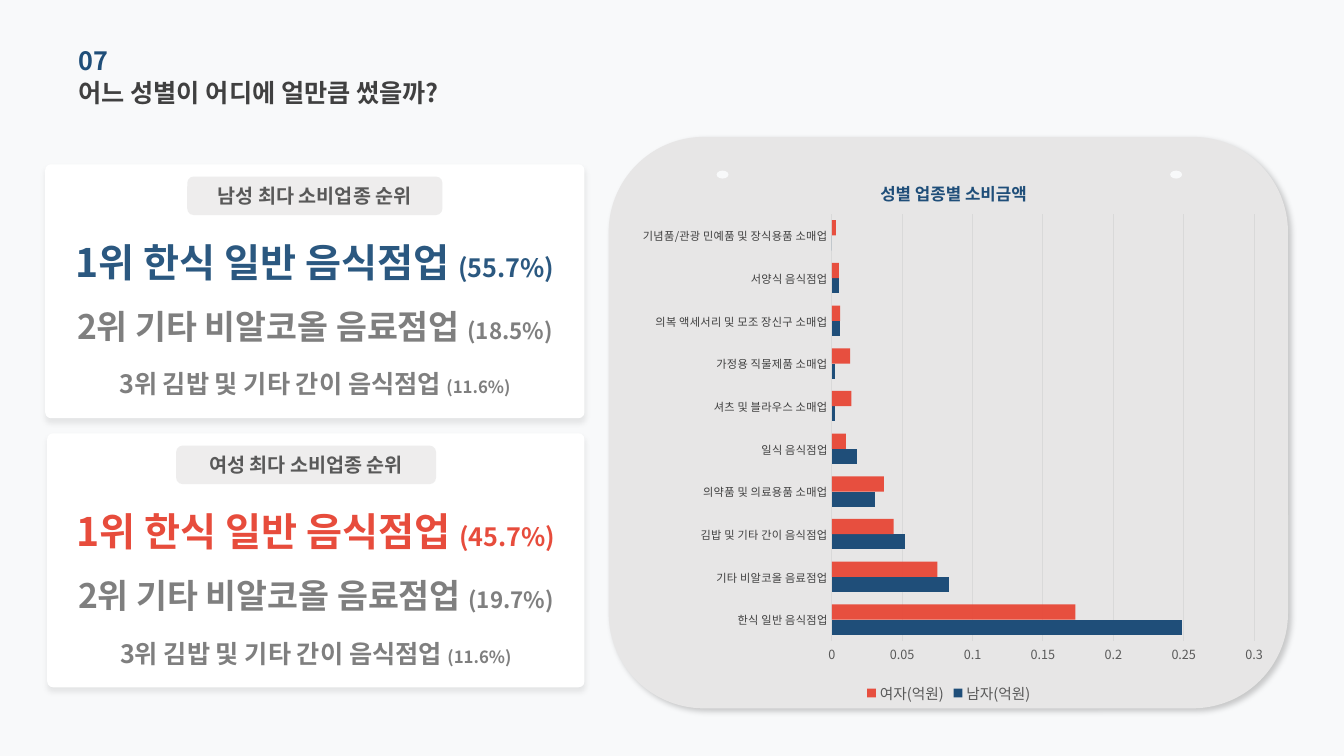
import pptx
import pptx.chart.data
import pptx.dml.color
import pptx.enum.chart
import pptx.enum.shapes
import pptx.enum.text
import pptx.oxml
import pptx.oxml.ns
import pptx.util

Cm = pptx.util.Cm
Pt = pptx.util.Pt
Shape = pptx.enum.shapes.MSO_SHAPE
Align = pptx.enum.text.PP_ALIGN
FONT = "Noto Sans CJK KR"
NAVY, RED, GRAY, GRID = "1F4E79", "E74C3C", "7F7F7F", "D9D9D9"
SALES = [
    ("한식 일반 음식점업", 0.249, 0.173),
    ("기타 비알코올 음료점업", 0.083, 0.075),
    ("김밥 및 기타 간이 음식점업", 0.052, 0.044),
    ("의약품 및 의료용품 소매업", 0.031, 0.037),
    ("일식 음식점업", 0.018, 0.01),
    ("셔츠 및 블라우스 소매업", 0.002, 0.014),
    ("가정용 직물제품 소매업", 0.002, 0.013),
    ("의복 액세서리 및 모조 장신구 소매업", 0.006, 0.006),
    ("서양식 음식점업", 0.005, 0.005),
    ("기념품/관광 민예품 및 장식용품 소매업", 0, 0.003),
]


def color(value):
    return pptx.dml.color.RGBColor.from_string(value)


def xml(tag, content):
    return pptx.oxml.parse_xml(f"<{tag} {pptx.oxml.ns.nsdecls('a', 'c')} {content}")


def paint(fill, value, alpha=None):
    fill.solid()
    fill.fore_color.rgb = color(value)
    if alpha:
        target = fill._xPr.find(".//" + pptx.oxml.ns.qn("a:srgbClr"))
        target.append(xml("a:alpha", f'val="{alpha * 1000}"/>'))


def style_font(font, size, value, bold=False):
    font.name = FONT
    font.size = Pt(size)
    font.bold = bold
    font.color.rgb = color(value)


def add_east_asian_fonts(element):
    for latin in element.findall(".//" + pptx.oxml.ns.qn("a:latin")):
        latin.addnext(xml("a:ea", f'typeface="{FONT}"/>'))


def add_block(shapes, kind, box, fill, alpha=None, radius=None, shadow=None):
    shape = shapes.add_shape(kind, *map(Cm, box))
    paint(shape.fill, fill, alpha)
    shape.line.fill.background()
    shape.shadow.inherit = False
    if radius is not None:
        shape.adjustments[0] = radius
    if shadow:
        opacity, blur, distance, angle = shadow
        effects = shape._element.spPr.find(pptx.oxml.ns.qn("a:effectLst"))
        effects.append(xml(
            "a:outerShdw",
            f'blurRad="{Pt(blur)}" dist="{Pt(distance)}" dir="{angle * 60000}" '
            f'algn="tl" rotWithShape="0"><a:srgbClr val="000000">'
            f'<a:alpha val="{opacity * 1000}"/></a:srgbClr></a:outerShdw>'))
    return shape


def write(shape, runs, value, alignment=Align.CENTER):
    frame = shape.text_frame
    frame.word_wrap = True
    frame.vertical_anchor = pptx.enum.text.MSO_ANCHOR.MIDDLE
    frame.margin_left = frame.margin_right = frame.margin_top = frame.margin_bottom = 0
    paragraph = frame.paragraphs[0]
    paragraph.alignment = alignment
    for text, size in runs:
        run = paragraph.add_run()
        run.text = text
        style_font(run.font, size, value, True)
    add_east_asian_fonts(shape._element)


def add_heading(slide, box, number, title):
    left, top, width, height = box
    line = height / 2
    for row, (text, value) in enumerate([(number, NAVY), (title, "404040")]):
        label = slide.shapes.add_textbox(*map(Cm, (left, top + row * line, width, line)))
        write(label, [(text, 18)], value, Align.LEFT)


def add_ranking_card(slide, box, badge, title, accent, shares):
    left, top, width, height = box
    badge_offset, badge_width = badge
    shapes = slide.shapes.add_group_shape().shapes
    add_block(shapes, Shape.ROUNDED_RECTANGLE, box, "FFFFFF", radius=0.023, shadow=(8, 4, 3, 90))
    rows = [
        ("1위 한식 일반 음식점업 ", 28, 18, accent, 1.85, 1.22),
        ("2위 기타 비알코올 음료점업 ", 24, 16, GRAY, 3.02, 2.13),
        ("3위 김밥 및 기타 간이 음식점업 ", 18, 12, GRAY, 4.47, 2.13),
    ]
    for (name, name_size, share_size, value, offset, row_height), share in zip(rows, shares):
        label = shapes.add_textbox(*map(Cm, (left, top + offset, width, row_height)))
        write(label, [(name, name_size), (share, share_size)], value)
    badge_box = (left + badge_offset, top + 0.31, badge_width, 0.97)
    write(add_block(shapes, Shape.ROUNDED_RECTANGLE, badge_box, "D0CECE", alpha=36),
          [(title, 14)], "595959")


def place(parent, following, x, y, width=None, height=None):
    for old in parent.findall(pptx.oxml.ns.qn("c:layout")):
        parent.remove(old)
    inner = '<c:layoutTarget val="inner"/>' if width else ""
    size = f'<c:w val="{width}"/><c:h val="{height}"/>' if width else ""
    layout = xml("c:layout", f'><c:manualLayout>{inner}<c:xMode val="edge"/><c:yMode val="edge"/>'
                 f'<c:x val="{x}"/><c:y val="{y}"/>{size}</c:manualLayout></c:layout>')
    parent.find(pptx.oxml.ns.qn(following)).addprevious(layout)


def add_sales_chart(slide, box):
    left, top, width, height = box
    add_block(slide.shapes, Shape.ROUNDED_RECTANGLE, box, "E7E6E6", shadow=(20, 4, 3, 45))
    for offset in (2.72, 14.15):
        add_block(slide.shapes, Shape.OVAL, (left + offset, top + 0.85, 0.3, 0.2), "F8F9FA")

    data = pptx.chart.data.CategoryChartData()
    names, men, women = zip(*SALES)
    data.categories = names
    data.add_series("남자(억원)", men)
    data.add_series("여자(억원)", women)
    chart_box = (left + 0.38, top + 0.41, width - 0.74, height - 0.43)
    chart = slide.shapes.add_chart(
        pptx.enum.chart.XL_CHART_TYPE.BAR_CLUSTERED, *map(Cm, chart_box), data).chart
    chart.font.size = Pt(10)
    chart.font.name = "Calibri"
    chart.font.color.rgb = color("000000")

    chart.has_title = True
    run = chart.chart_title.text_frame.paragraphs[0].add_run()
    run.text = "성별 업종별 소비금액"
    style_font(run.font, 12, NAVY, True)
    chart.chart_title.include_in_layout = False

    plot = chart.plots[0]
    plot.gap_width = 80
    plot.overlap = 0
    plot.vary_by_categories = False
    for series, value, alpha in zip(plot.series, (NAVY, RED), (None, 98)):
        paint(series.format.fill, value, alpha)

    category_axis, value_axis = chart.category_axis, chart.value_axis
    for axis, size, value in ((category_axis, 8, "404040"), (value_axis, 9, "595959")):
        axis.major_tick_mark = axis.minor_tick_mark = pptx.enum.chart.XL_TICK_MARK.NONE
        style_font(axis.tick_labels.font, size, value)
    value_axis.minimum_scale, value_axis.maximum_scale = 0, 0.3
    value_axis.major_unit = 0.05
    value_axis.has_major_gridlines = True
    value_axis.format.line.fill.background()
    for line in (category_axis.format.line, value_axis.major_gridlines.format.line):
        line.width = Pt(0.75)
        line.color.rgb = color(GRID)

    chart.has_legend = True
    chart.legend.position = pptx.enum.chart.XL_LEGEND_POSITION.BOTTOM
    chart.legend.include_in_layout = False
    style_font(chart.legend.font, 10.5, "595959")
    add_east_asian_fonts(chart._chartSpace)
    place(chart.chart_title._element, "c:overlay", 0.39, 0.04)
    place(chart._chartSpace.chart.plotArea, "c:barChart", 0.32, 0.11, 0.65, 0.77)


def main():
    presentation = pptx.Presentation()
    presentation.slide_width, presentation.slide_height = Cm(33.87), Cm(19.05)
    slide = presentation.slides.add_slide(presentation.slide_layouts[6])
    paint(slide.background.fill, "F8F9FA")
    add_sales_chart(slide, (15.34, 3.45, 17.12, 14.4))
    add_heading(slide, (1.98, 1.12, 11.48, 1.6), "07", "어느 성별이 어디에 얼만큼 썼을까?")
    add_ranking_card(slide, (1.14, 4.14, 13.59, 6.4), (3.58, 6.43), "남성 최다 소비업종 순위",
                     "2B5880", ("(55.7%)", "(18.5%)", "(11.6%)"))
    add_ranking_card(slide, (1.19, 10.92, 13.54, 6.4), (3.25, 6.55), "여성 최다 소비업종 순위",
                     RED, ("(45.7%)", "(19.7%)", "(11.6%)"))
    presentation.save("out.pptx")


if __name__ == "__main__":
    main()
